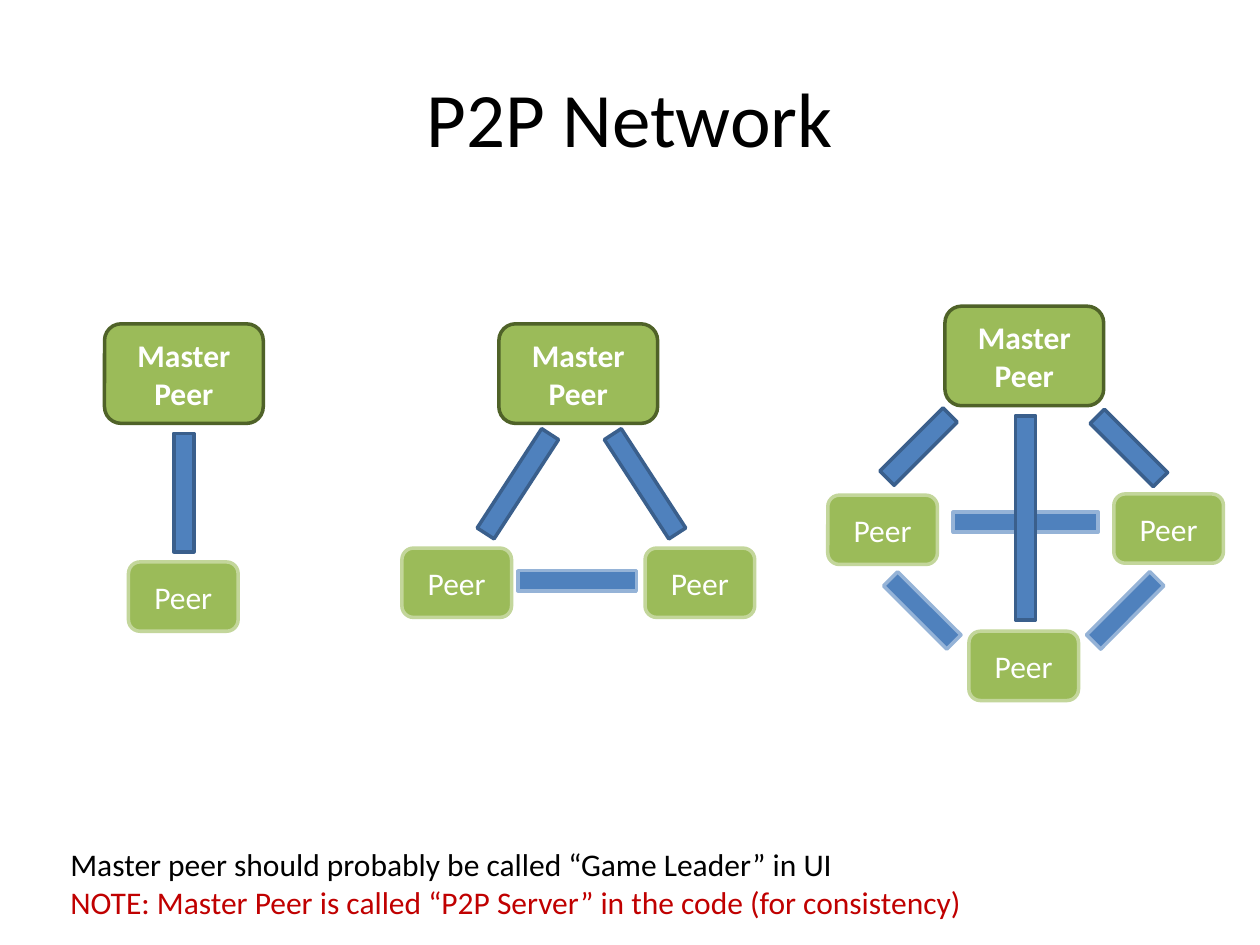
from pptx import Presentation
from pptx.dml.color import RGBColor
from pptx.enum.shapes import MSO_SHAPE as Shape
from pptx.enum.text import MSO_ANCHOR as Anchor, MSO_AUTO_SIZE as AutoSize, PP_ALIGN as Align
from pptx.util import Pt

PX = 9144
FONT = "Calibri"
BLACK = RGBColor(0x00, 0x00, 0x00)
WHITE = RGBColor(0xFF, 0xFF, 0xFF)
RED = RGBColor(0xC0, 0x00, 0x00)
GREEN = RGBColor(0x9B, 0xBB, 0x59)
DARK_GREEN = RGBColor(0x4F, 0x62, 0x28)
LIGHT_GREEN = RGBColor(0xC3, 0xD6, 0x9B)
BLUE = RGBColor(0x4F, 0x81, 0xBD)
DARK_BLUE = RGBColor(0x3A, 0x5F, 0x8C)
LIGHT_BLUE = RGBColor(0x95, 0xB3, 0xD7)
MASTER_SIZE = 126, 79
PEER_SIZE = 87, 55
LINK_WIDTH = 16


def scale(*lengths):
    return [length * PX for length in lengths]


def style_para(para, size, color, align=Align.LEFT, bold=False):
    para.alignment = align
    para.font.name = FONT
    para.font.size = Pt(size)
    para.font.bold = bold
    para.font.color.rgb = color


def add_block(page, kind, box, fill, line):
    block = page.shapes.add_shape(kind, *scale(*box))
    block.shadow.inherit = False
    block.fill.solid()
    block.fill.fore_color.rgb = fill
    block.line.color.rgb = line
    block.line.width = Pt(2)
    return block


def add_node(page, left, top, size, words, line, bold=False):
    node = add_block(page, Shape.ROUNDED_RECTANGLE, (left, top, *size), GREEN, line)
    node.text_frame.vertical_anchor = Anchor.MIDDLE
    para = node.text_frame.paragraphs[0]
    for index, word in enumerate(words):
        if index:
            para.add_line_break()
        para.add_run().text = word
    style_para(para, 18, WHITE, Align.CENTER, bold)


def add_master(page, left, top):
    add_node(page, left, top, MASTER_SIZE, ["Master", "Peer"], DARK_GREEN, True)


def add_peer(page, left, top):
    add_node(page, left, top, PEER_SIZE, ["Peer"], LIGHT_GREEN)


def add_link(page, left, top, length, angle=0, line=DARK_BLUE):
    link = add_block(page, Shape.RECTANGLE, (left, top, LINK_WIDTH, length), BLUE, line)
    link.rotation = angle


def add_pair(page, left, top):
    add_master(page, left, top)
    add_peer(page, left + 19, top + 189)
    add_link(page, left + 55, top + 87, 94)


def add_triangle(page, left, top):
    add_master(page, left + 77, top)
    for x in (0, 193):
        add_peer(page, left + x, top + 178)
    for x, angle in ((84, 33), (185, -33)):
        add_link(page, left + x, top + 80, 94, angle)
    add_link(page, left + 131, top + 157, 94, 90, LIGHT_BLUE)


def add_diamond(page, left, top):
    add_master(page, left + 93, top)
    for x, y in ((0, 150), (227, 149), (112, 258)):
        add_peer(page, left + x, top + y)
    add_link(page, left + 149, top + 114, 115, 90, LIGHT_BLUE)
    for x, y, angle, line in (
        (64, 76, 45, DARK_BLUE),
        (231, 77, -45, DARK_BLUE),
        (67, 206, -45, LIGHT_BLUE),
        (228, 206, 45, LIGHT_BLUE),
    ):
        add_link(page, left + x, top + y, 71, angle, line)
    add_link(page, left + 149, top + 87, 162)


def add_title(page, left, top, width, height):
    title = page.shapes.title
    title.left, title.top, title.width, title.height = scale(left, top, width, height)
    title.text_frame.text = "P2P Network"
    title.text_frame.vertical_anchor = Anchor.MIDDLE
    style_para(title.text_frame.paragraphs[0], 44, BLACK, Align.CENTER)


def add_notes(page, left, top, width, height):
    frame = page.shapes.add_textbox(*scale(left, top, width, height)).text_frame
    frame.word_wrap = False
    frame.auto_size = AutoSize.SHAPE_TO_FIT_TEXT
    notes = (
        ("Master peer should probably be called “Game Leader” in UI", BLACK),
        ("NOTE: Master Peer is called “P2P Server” in the code (for consistency)", RED),
    )
    for index, (text, color) in enumerate(notes):
        para = frame.add_paragraph() if index else frame.paragraphs[0]
        para.text = text
        style_para(para, 18, color)


def main():
    deck = Presentation()
    deck.slide_width, deck.slide_height = scale(1000, 750)
    page = deck.slides.add_slide(deck.slide_layouts[5])
    add_title(page, 50, 30, 900, 125)
    add_pair(page, 83, 257)
    add_triangle(page, 319, 257)
    add_diamond(page, 657, 243)
    add_notes(page, 46, 666, 735, 71)
    deck.save("out.pptx")


if __name__ == "__main__":
    main()
